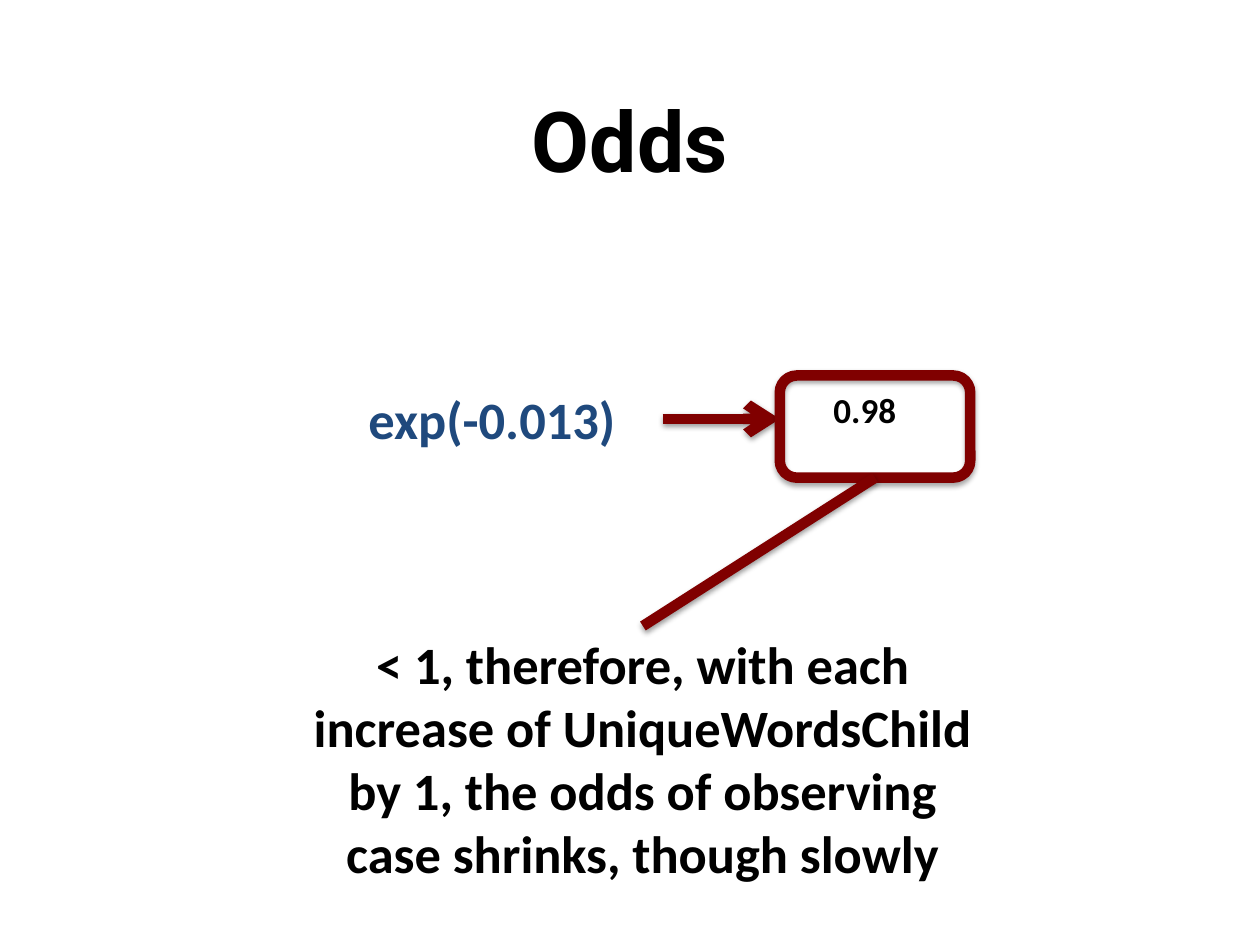
import pptx
import pptx.util
import pptx.dml.color
import pptx.enum.shapes
import pptx.enum.text
import pptx.oxml
import pptx.oxml.ns

Cm = pptx.util.Cm
Pt = pptx.util.Pt

COLORS = {"text": "000000", "formula": "1F497D", "accent": "800000"}


class SlideBuilder:
    """Holds the shared style and the current slide."""

    line_width = Pt(6)
    shadow_blur = Pt(3.1)

    def __init__(self, slide):
        self.slide = slide

    def color(self, name):
        return pptx.dml.color.RGBColor.from_string(COLORS[name])

    def text(self, wording, left, top, width, height, size,
             color="text", font="Calibri", middle=False):
        box = self.slide.shapes.add_textbox(Cm(left), Cm(top), Cm(width), Cm(height))
        frame = box.text_frame
        frame.word_wrap = True
        if middle:
            frame.vertical_anchor = pptx.enum.text.MSO_ANCHOR.MIDDLE
        frame.text = wording
        paragraph = frame.paragraphs[0]
        paragraph.alignment = pptx.enum.text.PP_ALIGN.CENTER
        style = paragraph.runs[0].font
        style.name = font
        style.size = Pt(size)
        style.bold = True
        style.color.rgb = self.color(color)
        return box

    def outline(self, part):
        part.line.color.rgb = self.color("accent")
        part.line.width = self.line_width

    def shadow(self, part, distance, opacity):
        namespace = pptx.oxml.ns.nsdecls("a")
        part._element.spPr.append(pptx.oxml.parse_xml(
            f'<a:effectLst {namespace}><a:outerShdw blurRad="{self.shadow_blur}" '
            f'dist="{Pt(distance)}" dir="5400000" rotWithShape="0">'
            f'<a:srgbClr val="000000"><a:alpha val="{opacity * 1000}"/></a:srgbClr>'
            f'</a:outerShdw></a:effectLst>'))

    def frame(self, left, top, width, height):
        box = self.slide.shapes.add_shape(
            pptx.enum.shapes.MSO_SHAPE.ROUNDED_RECTANGLE,
            Cm(left), Cm(top), Cm(width), Cm(height))
        box.fill.background()
        self.outline(box)
        self.shadow(box, 1.8, 35)
        return box

    def connector(self, start, start_side, end, end_side=None, arrow=False):
        """Joins start to another part, or runs level to the left edge of end."""
        line = self.slide.shapes.add_connector(
            pptx.enum.shapes.MSO_CONNECTOR.STRAIGHT, 0, 0, 0, 0)
        line.begin_connect(start, start_side)
        if end_side is None:
            line.end_x, line.end_y = end.left, line.begin_y
        else:
            line.end_connect(end, end_side)
        self.outline(line)
        if arrow:
            line.line._get_or_add_ln().append(pptx.oxml.parse_xml(
                f'<a:tailEnd {pptx.oxml.ns.nsdecls("a")} type="arrow"/>'))
        self.shadow(line, 1.6, 38)


def main():
    deck = pptx.Presentation()
    deck.slide_width, deck.slide_height = Cm(25.4), Cm(19.05)
    builder = SlideBuilder(deck.slides.add_slide(deck.slide_layouts[6]))

    # Title
    builder.text("Odds", 0, 1.22, 25.4, 3.18, 48, font="Roboto", middle=True)

    # Formula and its result
    formula = builder.text("exp(-0.013)", 6.48, 7.67, 6.88, 1.55, 30, color="formula")
    odds = builder.text("0.98", 15.72, 7.7, 3.43, 1.12, 20)
    builder.connector(formula, 3, odds, arrow=True)
    odds_frame = builder.frame(15.72, 7.57, 3.84, 2.06)

    # Interpretation
    meaning = builder.text(
        "< 1, therefore, with each increase of UniqueWordsChild by 1, "
        "the odds of observing case shrinks, though slowly",
        6.05, 12.62, 13.82, 6.4, 30)
    builder.connector(odds_frame, 2, meaning, 0)

    deck.save("out.pptx")


if __name__ == "__main__":
    main()
